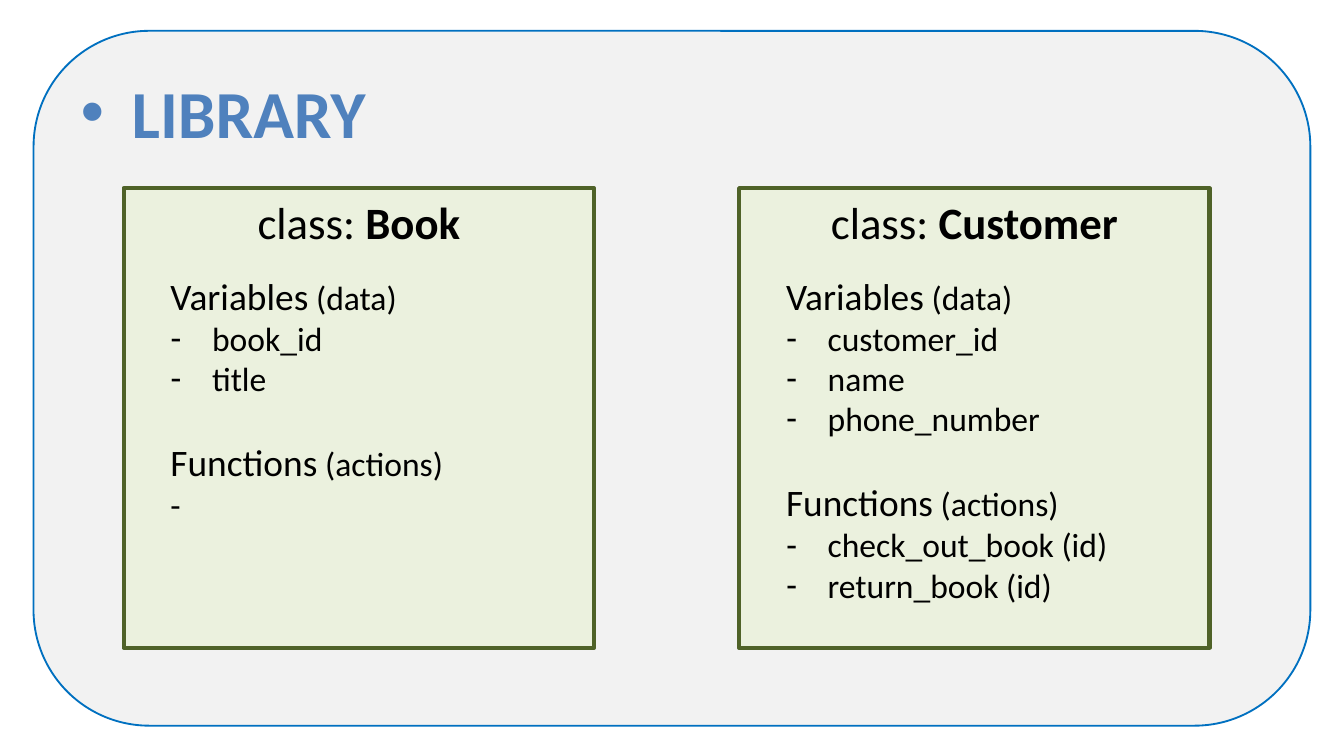
from lxml import etree
from pptx import Presentation
from pptx.dml.color import RGBColor
from pptx.enum.shapes import MSO_SHAPE
from pptx.enum.text import MSO_ANCHOR, PP_ALIGN
from pptx.oxml.ns import qn
from pptx.util import Inches, Pt

ROUNDED, RECT = MSO_SHAPE.ROUNDED_RECTANGLE, MSO_SHAPE.RECTANGLE
TOP, MIDDLE = MSO_ANCHOR.TOP, MSO_ANCHOR.MIDDLE
LEFT, CENTER = PP_ALIGN.LEFT, PP_ALIGN.CENTER


def rgb(color):
    return RGBColor.from_string(color)


class ClassSlide:
    font = "Calibri"
    text, accent = "000000", "4F81BD"
    panel_fill, panel_line = "F2F2F2", "0070C0"
    card_fill, card_line = "EBF1DE", "4F6228"

    def __init__(self, prs):
        self.s = prs.slides.add_slide(prs.slide_layouts[5])

    def style(self, r, size, color=text, bold=False):
        r.font.name = self.font
        r.font.size = Pt(size)
        r.font.bold = bold
        r.font.color.rgb = rgb(color)

    def bullet(self, p, char, indent):
        pPr = p._p.get_or_add_pPr()
        pPr.set("marL", str(Inches(indent)))
        pPr.set("indent", str(-Inches(indent)))
        etree.SubElement(pPr, qn("a:buFont")).set("typeface", "Arial")
        etree.SubElement(pPr, qn("a:buChar")).set("char", char)

    def box(self, kind, x, y, w, h, fill, line, width):
        sp = self.s.shapes.add_shape(kind, Inches(x), Inches(y), Inches(w), Inches(h))
        sp.shadow.inherit = False
        sp.fill.solid()
        sp.fill.fore_color.rgb = rgb(fill)
        sp.line.color.rgb = rgb(line)
        sp.line.width = Pt(width)
        return sp

    def panel(self, x, y, w, h):
        self.box(ROUNDED, x, y, w, h, self.panel_fill, self.panel_line, 1)

    def title(self, text, x, y, w, h):
        sp = self.s.shapes.title
        sp.left, sp.top, sp.width, sp.height = map(Inches, (x, y, w, h))
        # Bring the title in front of the panel
        sp.element.getparent().append(sp.element)
        tf = sp.text_frame
        tf.margin_left = tf.margin_right = tf.margin_top = tf.margin_bottom = 0
        tf.vertical_anchor = MIDDLE
        tf.text = text
        p = tf.paragraphs[0]
        p.alignment = LEFT
        p.space_before = Pt(0)
        self.bullet(p, "•", 0.38)
        self.style(p.runs[0], 36, self.accent, True)

    def card(self, name, x, y, w, h):
        sp = self.box(RECT, x, y, w, h, self.card_fill, self.card_line, 2.25)
        tf = sp.text_frame
        tf.vertical_anchor = TOP
        p = tf.paragraphs[0]
        p.alignment = CENTER
        for text, bold in (("class: ", False), (name, True)):
            r = p.add_run()
            r.text = text
            self.style(r, 24, bold=bold)

    def members(self, sections, x, y, w, h):
        sp = self.s.shapes.add_textbox(Inches(x), Inches(y), Inches(w), Inches(h))
        tf = sp.text_frame
        tf.word_wrap = False
        for i, (heading, note, items) in enumerate(sections):
            p = tf.add_paragraph() if i else tf.paragraphs[0]
            p.space_before = Pt(22 if i else 0)
            for text, size in ((heading, 20), (f" ({note})", 18)):
                r = p.add_run()
                r.text = text
                self.style(r, size)
            for item in items:
                p = tf.add_paragraph()
                p.text = item or "-"
                self.style(p.runs[0], 18)
                if item:
                    self.bullet(p, "-", 0.31)


# Class name, text box size, variables, functions; an empty item leaves a bare dash
CLASSES = [
    ("Book", (2.26, 1.99), ["book_id", "title"], [""]),
    ("Customer", (2.62, 2.59), ["customer_id", "name", "phone_number"],
     ["check_out_book (id)", "return_book (id)"]),
]


def main():
    prs = Presentation()
    prs.slide_width = Inches(10)
    prs.slide_height = prs.slide_width * 9 // 16
    slide = ClassSlide(prs)

    # Background panel and title
    slide.panel(0.25, 0.23, 9.5, 5.17)
    slide.title("LIBRARY", 0.6, 0.48, 8.8, 0.7)

    # One card per class
    for i, (name, size, variables, functions) in enumerate(CLASSES):
        x = 0.92 + i * 4.58
        slide.card(name, x, 1.4, 3.5, 3.42)
        slide.members([("Variables", "data", variables),
                       ("Functions", "actions", functions)],
                      x + 0.25, 1.98, *size)

    prs.save("out.pptx")


if __name__ == "__main__":
    main()
